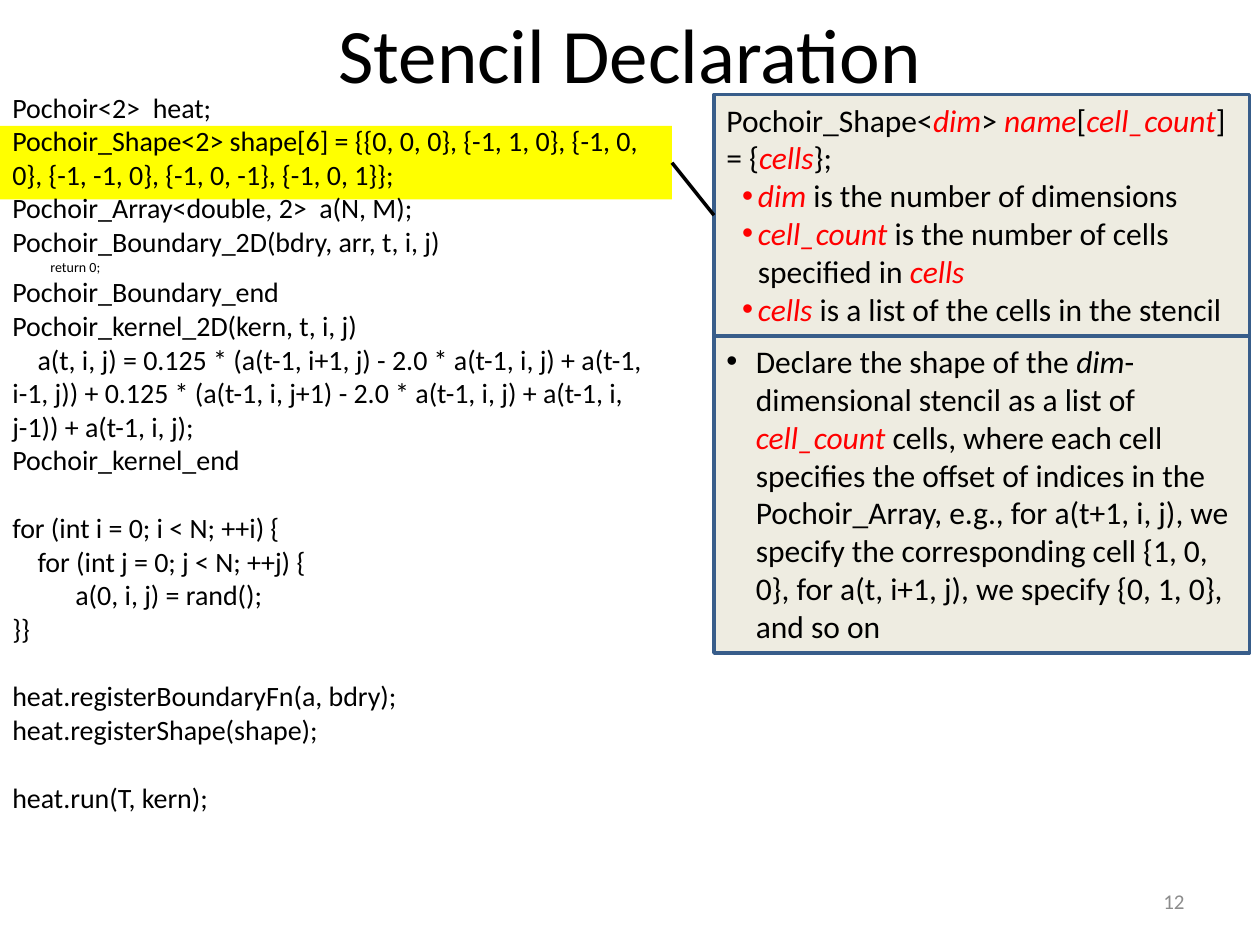
from itertools import cycle

from lxml import etree
from pptx import Presentation, util as u
from pptx.dml.color import RGBColor
from pptx.enum import shapes, text
from pptx.oxml.ns import qn

PX = 7620
INK = {"black": "000000", "red": "FF0000", "mark": "FFFF00",
       "sand": "EEECE1", "edge": "385D8A", "gray": "8C8C8C"}
CODE = """Pochoir<2>  heat;
Pochoir_Shape<2> shape[6] = {{0, 0, 0}, {-1, 1, 0}, {-1, 0, 0}, {-1, -1, 0}, {-1, 0, -1}, {-1, 0, 1}};
Pochoir_Array<double, 2>  a(N, M);
Pochoir_Boundary_2D(bdry, arr, t, i, j)
            return 0;
Pochoir_Boundary_end
Pochoir_kernel_2D(kern, t, i, j)
    a(t, i, j) = 0.125 * (a(t-1, i+1, j) - 2.0 * a(t-1, i, j) + a(t-1, i-1, j)) + 0.125 * (a(t-1, i, j+1) - 2.0 * a(t-1, i, j) + a(t-1, i, j-1)) + a(t-1, i, j);
Pochoir_kernel_end

for (int i = 0; i < N; ++i) {
    for (int j = 0; j < N; ++j) {
          a(0, i, j) = rand();
}}

heat.registerBoundaryFn(a, bdry);
heat.registerShape(shape);

heat.run(T, kern);"""
SYNTAX = "Pochoir_Shape<~dim~> ~name~[~cell_count~] = {~cells~};"
TERMS = ["~dim ~is the number of dimensions",
         "~cell_count ~is the number of cells specified in ~cells~",
         "~cells~ is a list of the cells in the stencil"]
NOTE = ("Declare the shape of the ~dim~-dimensional stencil as a list of "
        "~cell_count~ cells, where each cell specifies the offset of indices "
        "in the Pochoir_Array, e.g., for a(t+1, i, j), we specify the "
        "corresponding cell {1, 0, 0}, for a(t, i+1, j), we specify "
        "{0, 1, 0}, and so on")


def px(*vals):
    """Turn pixel lengths into EMU."""
    return [u.Emu(v * PX) for v in vals]


def tint(name):
    """Return the named colour."""
    return RGBColor.from_string(INK[name])


def write(par, words, size=18, ink="black", stress=("red",), align="LEFT",
          gap=0, left=0, hang=0):
    """Fill a paragraph, with the parts between tildes in stressed italics."""
    if hang:
        prop = par._p.get_or_add_pPr()
        prop.set("marL", str(left * PX))
        prop.set("indent", str(-hang * PX))
        etree.SubElement(prop, qn("a:buFont")).set("typeface", "Arial")
        etree.SubElement(prop, qn("a:buChar")).set("char", "•")
    par.alignment = getattr(text.PP_ALIGN, align)
    if gap:
        par.space_before = u.Pt(gap)
    hues = cycle(stress)
    for num, part in enumerate(words.split("~")):
        if part:
            run = par.add_run()
            run.text = part
            run.font.name = "Calibri"
            run.font.size = u.Pt(size)
            run.font.italic = bool(num % 2)
            run.font.color.rgb = tint(next(hues) if num % 2 else ink)


def frame(shape, anchor="TOP"):
    """Set wrapping and anchor, and return the text frame."""
    body = shape.text_frame
    body.word_wrap = True
    body.auto_size = text.MSO_AUTO_SIZE.NONE
    body.vertical_anchor = getattr(text.MSO_ANCHOR, anchor)
    return body


def panel(slide, box, fill, edge=None):
    """Draw a filled rectangle."""
    rect = slide.shapes.add_shape(shapes.MSO_SHAPE.RECTANGLE, *px(*box))
    rect.shadow.inherit = False
    rect.fill.solid()
    rect.fill.fore_color.rgb = tint(fill)
    if edge:
        rect.line.color.rgb = tint(edge)
        rect.line.width = u.Pt(2)
    else:
        rect.line.fill.background()
    return rect


def head(slide, box, words):
    """Place the title."""
    title = slide.shapes.title
    title.left, title.top, title.width, title.height = px(*box)
    write(frame(title, "MIDDLE").paragraphs[0], words, size=44, align="CENTER")


def code(slide, box):
    """Place the listing over its marked lines."""
    left, top, wide, high = box
    panel(slide, (left, top + 40, wide - 10, 70), "mark")
    body = frame(slide.shapes.add_textbox(*px(*box)))
    par, gap = body.paragraphs[0], 0
    for num, line in enumerate(CODE.split("\n")):
        if not line:
            gap = 19.5
            continue
        if num:
            par = body.add_paragraph()
        write(par, line, size=8 if "return" in line else 16, gap=gap)
        gap = 0


def guide(slide, box, split):
    """Place the syntax panel, the note under it and the pointer."""
    left, top, wide, high = box
    body = frame(panel(slide, (left, top, wide, split), "sand", "edge"))
    write(body.paragraphs[0], SYNTAX)
    for term in TERMS:
        write(body.add_paragraph(), term, left=30, hang=15)
    line = slide.shapes.add_connector(
        shapes.MSO_CONNECTOR.STRAIGHT,
        *px(left - 40, top + 65, left, top + split // 2))
    line.line.color.rgb = tint("black")
    line.line.width = u.Pt(2)
    etree.SubElement(line._element.spPr, qn("a:effectLst"))
    low = panel(slide, (left, top + split, wide, high - split), "sand", "edge")
    write(frame(low).paragraphs[0], NOTE, stress=("black", "red"),
          left=28, hang=28)


def foot(slide, box, words):
    """Place the slide number."""
    body = frame(slide.shapes.add_textbox(*px(*box)), "MIDDLE")
    write(body.paragraphs[0], words, size=12, ink="gray", align="RIGHT")


def main():
    """Build and save the slide."""
    deck = Presentation()
    deck.slide_width, deck.slide_height = px(1200, 900)
    slide = deck.slides.add_slide(deck.slide_layouts.get_by_name("Title Only"))
    code(slide, (0, 80, 650, 707))
    head(slide, (60, 0, 1080, 100), "Stencil Declaration")
    guide(slide, (680, 90, 510, 532), 230)
    foot(slide, (860, 834, 280, 48), "12")
    deck.save("out.pptx")


if __name__ == "__main__":
    main()
